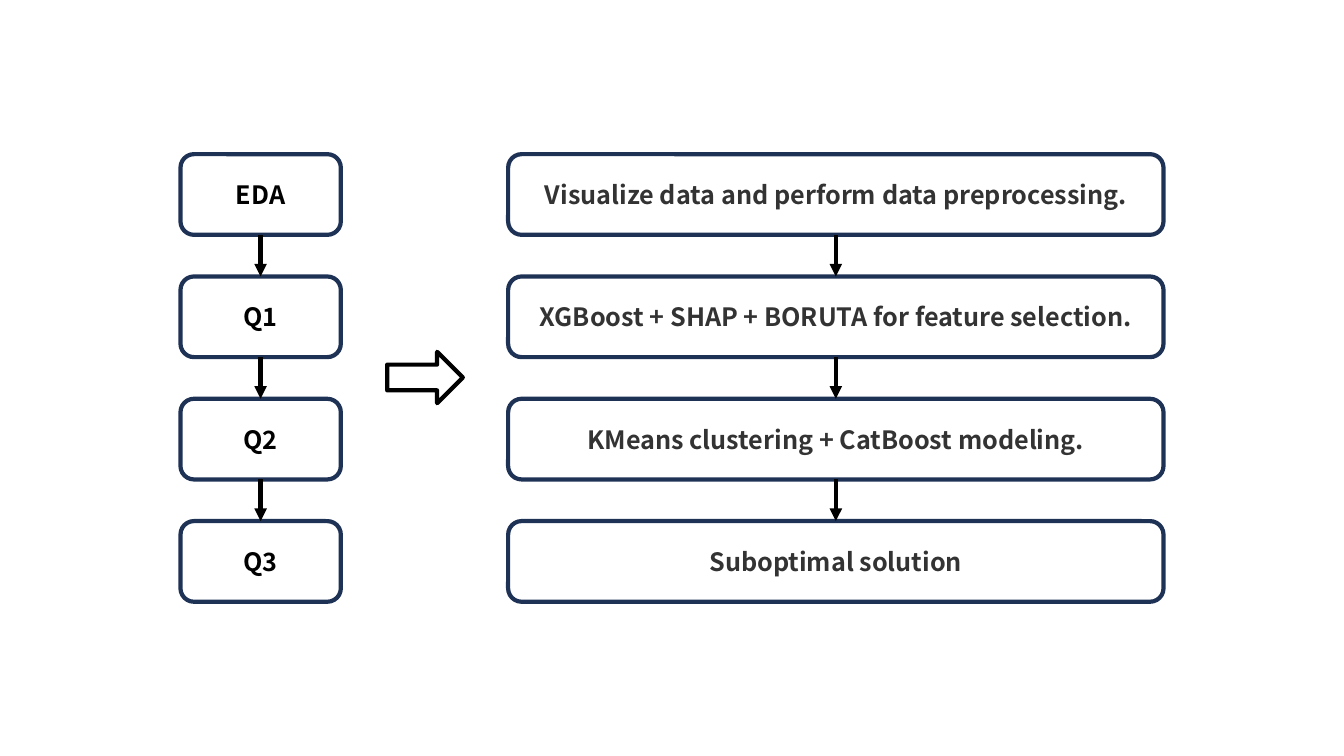
from lxml.etree import SubElement
from pptx import Presentation
from pptx.dml.color import RGBColor
from pptx.enum.shapes import MSO_CONNECTOR as CONN, MSO_SHAPE as SHAPE
from pptx.enum.text import MSO_ANCHOR, PP_ALIGN
from pptx.oxml.ns import qn
from pptx.util import Inches, Pt

FONT = "Noto Sans CJK SC"
COLORS = {"fill": "FFFFFF", "border": "1E3256", "black": "000000", "detail": "333333"}

COLUMNS = [
    {"left": 1.79, "width": 1.59, "color": "black",
     "steps": ["EDA", "Q1", "Q2", "Q3"]},
    {"left": 5.04, "width": 6.5, "color": "detail",
     "steps": ["Visualize data and perform data preprocessing.",
               "XGBoost + SHAP + BORUTA for feature selection.",
               "KMeans clustering + CatBoost modeling.",
               "Suboptimal solution"]},
]
FIRST_TOP, LAST_TOP, BOX_HEIGHT = 1.53, 5.17, 0.8
BLOCK_ARROW = (3.84, 3.49, 0.75, 0.51)
LINE_WIDTH = Pt(3)


def rgb(name):
    return RGBColor.from_string(COLORS[name])


def add_outlined(slide, kind, box, line):
    sp = slide.shapes.add_shape(kind, *map(Inches, box))
    sp.shadow.inherit = False
    sp.fill.solid()
    sp.fill.fore_color.rgb = rgb("fill")
    sp.line.color.rgb = rgb(line)
    sp.line.width = LINE_WIDTH
    return sp


def add_step(slide, box, text, color):
    tf = add_outlined(slide, SHAPE.ROUNDED_RECTANGLE, box, "border").text_frame
    tf.word_wrap = True
    tf.vertical_anchor = MSO_ANCHOR.MIDDLE
    p = tf.paragraphs[0]
    p.text = text
    p.alignment = PP_ALIGN.CENTER
    p.font.name = FONT
    p.font.size = Pt(18)
    p.font.bold = True
    p.font.color.rgb = rgb(color)


def add_down_arrow(slide, x, top, bottom):
    cx = slide.shapes.add_connector(
        CONN.STRAIGHT, *map(Inches, (x, top, x, bottom)))
    cx.line.color.rgb = rgb("black")
    cx.line.width = LINE_WIDTH
    SubElement(cx.line._get_or_add_ln(), qn("a:tailEnd"), type="triangle")
    SubElement(cx._element.spPr, qn("a:effectLst"))


def add_column(slide, left, width, color, steps):
    pitch = (LAST_TOP - FIRST_TOP) / (len(steps) - 1)
    tops = [FIRST_TOP + i * pitch for i in range(len(steps))]
    for top, text in zip(tops, steps):
        add_step(slide, (left, top, width, BOX_HEIGHT), text, color)
    for top, next_top in zip(tops, tops[1:]):
        add_down_arrow(slide, left + width / 2, top + BOX_HEIGHT, next_top)


def main():
    prs = Presentation()
    prs.slide_width, prs.slide_height = Inches(13.33), Inches(7.5)
    slide = prs.slides.add_slide(prs.slide_layouts[6])
    for column in COLUMNS:
        add_column(slide, **column)
    add_outlined(slide, SHAPE.RIGHT_ARROW, BLOCK_ARROW, "black")
    prs.save("out.pptx")


if __name__ == "__main__":
    main()
